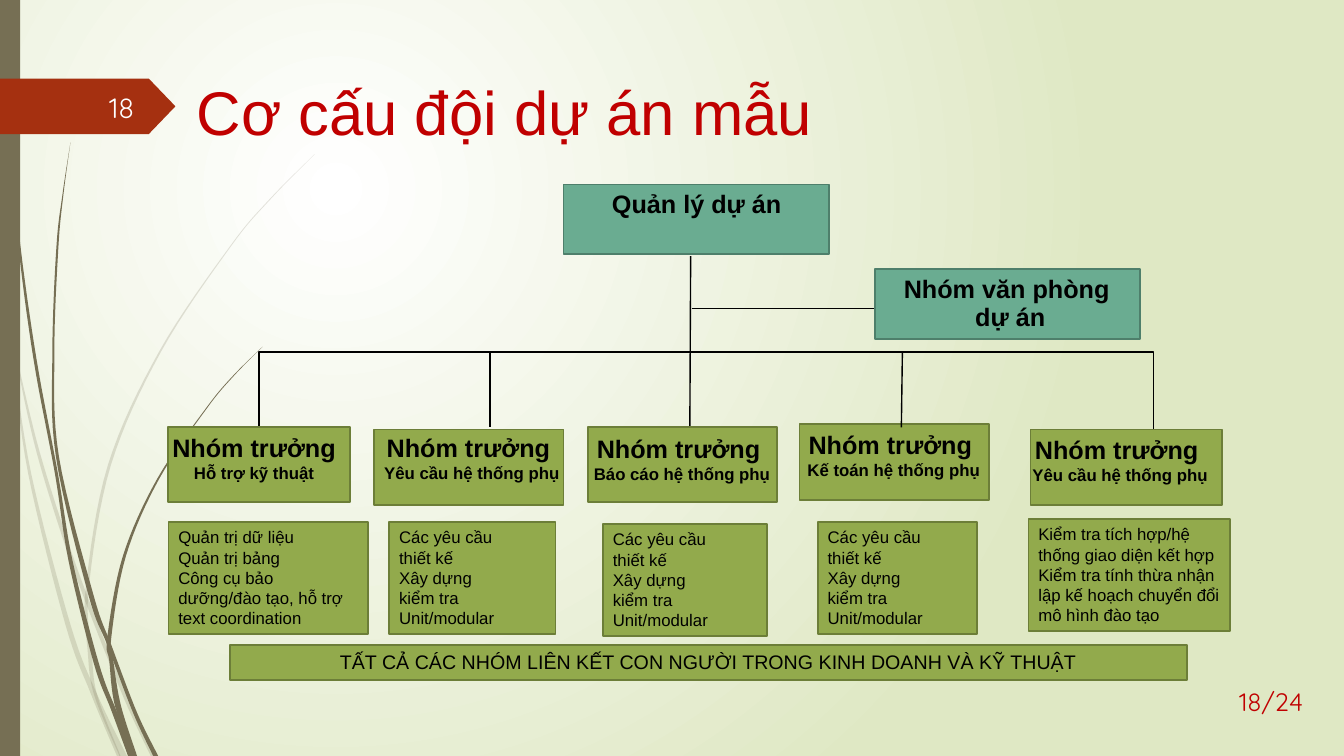
from dataclasses import dataclass
from typing import Optional

from lxml.etree import SubElement
from pptx import Presentation
from pptx.dml.color import RGBColor
from pptx.enum.shapes import MSO_CONNECTOR, MSO_SHAPE
from pptx.enum.text import MSO_ANCHOR, PP_ALIGN
from pptx.oxml.ns import qn
from pptx.util import Inches, Pt

WHITE = RGBColor(0xFF, 0xFF, 0xFF)
PALE = RGBColor(0xDF, 0xE8, 0xC4)
BROWN = RGBColor(0x76, 0x6F, 0x54)
RUST = RGBColor(0xA5, 0x30, 0x10)
RED = RGBColor(0xC0, 0x00, 0x00)
BLACK = RGBColor(0x00, 0x00, 0x00)
GREEN = RGBColor(0x92, 0xAA, 0x4C)
MOSS = RGBColor(0x6C, 0x7E, 0x38)
TEAL = RGBColor(0x6A, 0xAC, 0x91)
PINE = RGBColor(0x4E, 0x7F, 0x6B)
IVORY = RGBColor(0xFE, 0xFF, 0xFF)

# Grid of 133.3 columns by 75 rows
WIDE, HIGH = Inches(13.33), Inches(7.5)
COL, ROW = WIDE / 133.3, HIGH / 75

Box = tuple[float, float, float, float]
Dot = tuple[float, float, float]


@dataclass(frozen=True)
class Line:
    text: str
    size: float
    bold: bool = False
    color: RGBColor = BLACK
    font: str = "Arial"


@dataclass(frozen=True)
class Team:
    role: str
    head: str
    lead: Box
    label: Box
    work: Box
    tasks: tuple[str, ...]


@dataclass(frozen=True)
class Strand:
    dots: tuple[Dot, ...]  # column, row, width in columns
    alpha: int = 100


BUILD = ("Các yêu cầu", "thiết kế", "Xây dựng", "kiểm tra Unit/modular")
HEAD = "Nhóm trưởng "
TEAMS = (
    Team("Hỗ trợ kỹ thuật", HEAD.strip(), (16.7, 42.4, 18, 7.4),
         (15.7, 42.4, 19, 6), (16.7, 51.8, 19.8, 11.1),
         ("Quản trị dữ liệu", "Quản trị bảng",
          "Công cụ bảo dưỡng/đào tạo, hỗ trợ text coordination")),
    Team("Yêu cầu hệ thống phụ", HEAD, (37.1, 42.6, 18.8, 7.5),
         (36.9, 42.4, 19.8, 6), (38.6, 51.8, 16.5, 11.1), BUILD),
    Team("Báo cáo hệ thống phụ", HEAD, (58.3, 42.4, 18.8, 7.4),
         (57.6, 42.5, 20.1, 6), (59.8, 52, 16.3, 11.1), BUILD),
    Team("Kế toán hệ thống phụ", HEAD, (79.3, 42.1, 18.8, 7.5),
         (79, 42.1, 19.3, 6), (81.1, 51.8, 15.8, 11.1), BUILD),
    Team("Yêu cầu hệ thống phụ", HEAD, (102.2, 42.6, 19, 7.5),
         (101, 42.6, 20.2, 6), (102, 51.5, 20, 11.1),
         ("Kiểm tra tích hợp/hệ thống giao diện kết hợp",
          "Kiểm tra tính thừa nhận",
          "lập kế hoạch chuyển đổi mô hình đào tạo")),
)
STRANDS = (
    Strand(((0.2, 29, 0.3), (1.2, 35, 0.1), (2.95, 47, 0.3), (6.75, 62, 0.5),
            (9.3, 68.8, 0.6), (12.1, 75, 1)), 20),
    Strand(((1.4, 34.5, 0.1), (3.5, 43.8, 0.3), (6, 52.1, 0.4),
            (8.6, 59.5, 0.4), (12.5, 69.3, 0.4), (15.2, 75, 0.5)), 20),
    Strand(((31.2, 15.3, 0), (26.8, 19.75, 0.1), (22.85, 24.45, 0.1),
            (15.9, 34.85, 0.2), (10.85, 46.15, 0.3), (8.65, 58.4, 0.3),
            (8.9, 64.6, 0.4), (9.5, 69, 0.3), (11.9, 75, 0.1)), 20),
    Strand(((0.35, 0, 0.1), (0.45, 4.8, 0.1), (0.75, 11, 0.1),
            (1.8, 23.3, 0.2), (3.45, 35.5, 0.3), (5.6, 47, 0.3),
            (7, 55.65, 0.4), (9.55, 65.8, 0.5), (11.3, 70.5, 0.5),
            (13.1, 75, 0.8))),
    Strand(((7, 14.1, 0), (6.25, 19.3, 0.1), (5.7, 24.5, 0.2),
            (5.3, 34.9, 0.2), (5.7, 45.3, 0.3), (9.05, 59.1, 0.5),
            (10.85, 64, 0.4), (13.4, 70.7, 0.4), (15.45, 75, 0.5))),
    Strand(((26.05, 34.4, 0), (23.1, 37.35, 0.1), (20.45, 40.55, 0.1),
            (15.7, 47.5, 0.2), (12.35, 55.15, 0.3), (10.85, 63.2, 0.4),
            (11.05, 65.6, 0.4), (11.7, 70, 0.6), (13.4, 75, 0.4))),
)


def spot(x: float, y: float) -> tuple[int, int]:
    return round(x * COL), round(y * ROW)


def place(box: Box) -> tuple[int, int, int, int]:
    return (*spot(*box[:2]), *spot(*box[2:]))


def write(shape, lines: list[Line], align=PP_ALIGN.LEFT, anchor=MSO_ANCHOR.TOP,
          space: Optional[float] = None, wrap: bool = True) -> None:
    frame = shape.text_frame
    frame.word_wrap = wrap
    frame.vertical_anchor = anchor
    for i, line in enumerate(lines):
        para = frame.paragraphs[0] if i == 0 else frame.add_paragraph()
        para.alignment = align
        para.line_spacing = space
        run = para.add_run()
        run.text = line.text
        run.font.size = Pt(line.size)
        run.font.bold = line.bold
        run.font.name = line.font
        run.font.color.rgb = line.color


def panel(shapes, box: Box, fill: RGBColor, edge: Optional[RGBColor] = None,
          kind=MSO_SHAPE.RECTANGLE):
    shape = shapes.add_shape(kind, *place(box))
    shape.shadow.inherit = False
    shape.fill.solid()
    shape.fill.fore_color.rgb = fill
    if edge is None:
        shape.line.fill.background()
    else:
        shape.line.color.rgb = edge
        shape.line.width = Pt(1.25)
    return shape


def note(shapes, box: Box, lines: list[Line], **style) -> None:
    write(shapes.add_textbox(*place(box)), lines, **style)


def link(shapes, x1: float, y1: float, x2: float, y2: float) -> None:
    line = shapes.add_connector(MSO_CONNECTOR.STRAIGHT, *spot(x1, y1), *spot(x2, y2))
    line.line.color.rgb = BLACK
    line.line.width = Pt(1)
    SubElement(line._element.spPr, qn("a:effectLst"))


def outline(shapes, dots: list[tuple[float, float]], close: bool):
    pts = [spot(*dot) for dot in dots]
    form = shapes.build_freeform(*pts[0])
    form.add_line_segments(pts[1:], close=close)
    shape = form.convert_to_shape()
    shape.shadow.inherit = False
    return shape


def smooth(dots: tuple[Dot, ...], steps: int = 8) -> list[Dot]:
    """Sample a Catmull-Rom curve through the dots."""
    ends = (dots[0], *dots, dots[-1])
    curve = []
    for a, b, c, d in zip(ends, ends[1:], ends[2:], ends[3:]):
        for t in (k / steps for k in range(steps)):
            curve.append(tuple(
                q + t * (r - p) / 2 + t * t * (2 * p - 5 * q + 4 * r - s) / 2
                + t ** 3 * (3 * q - p - 3 * r + s) / 2
                for p, q, r, s in zip(a, b, c, d)))
    return curve + [dots[-1]]


def grass(shapes, strand: Strand) -> None:
    curve = smooth(strand.dots)
    left = [(x - w / 2, y) for x, y, w in curve]
    right = [(x + w / 2, y) for x, y, w in reversed(curve)]
    shape = outline(shapes, left + right, True)
    shape.fill.solid()
    shape.fill.fore_color.rgb = BROWN
    shape.line.fill.background()
    tint = shape._element.spPr.find(".//" + qn("a:srgbClr"))
    SubElement(tint, qn("a:alpha"), val=str(strand.alpha * 1000))


def backdrop(slide) -> None:
    fill = slide.background.fill
    fill.gradient()
    for stop, color in zip(fill.gradient_stops, (WHITE, PALE)):
        stop.color.rgb = color
    grad = slide._element.find(".//" + qn("a:gradFill"))
    grad.remove(grad.find(qn("a:lin")))
    ring = SubElement(grad, qn("a:path"), {"path": "circle"})
    SubElement(ring, qn("a:fillToRect"), l="50000", t="50000", r="100000", b="100000")


def main() -> None:
    deck = Presentation()
    deck.slide_width, deck.slide_height = WIDE, HIGH
    slide = deck.slides.add_slide(deck.slide_layouts[5])
    shapes = slide.shapes

    # Backdrop, grass and page tag
    backdrop(slide)
    for strand in STRANDS:
        grass(shapes, strand)
    panel(shapes, (0, 0, 2, 75), BROWN)
    tag = panel(shapes, (0, 7.8, 17.4, 5.5), RUST, kind=MSO_SHAPE.PENTAGON)
    tag.adjustments[0] = 0.48
    note(shapes, (5.8, 8.6, 8.5, 4), [Line("18", 20, False, IVORY, "Quicksand")],
         align=PP_ALIGN.RIGHT, anchor=MSO_ANCHOR.MIDDLE)
    note(shapes, (121.9, 67.6, 9.1, 4), [Line("18/24", 18, False, RED, "Quicksand")])

    # Title
    title = shapes.title
    title.left, title.top, title.width, title.height = place((18.5, 6.8, 107.3, 14))
    write(title, [Line("Cơ cấu đội dự án mẫu", 44, color=RED)])

    # Links
    bus = outline(shapes, [(25.7, 44.1), (25.7, 34.9), (114.4, 34.9), (114.4, 44.1)], False)
    bus.fill.background()
    bus.line.color.rgb = BLACK
    bus.line.width = Pt(1)
    link(shapes, 68.6, 30.6, 86.7, 30.6)
    link(shapes, 68.5, 25.4, 68.4, 47)

    # Manager and office
    panel(shapes, (55.9, 18.3, 26.3, 6.9), TEAL, PINE)
    panel(shapes, (86.8, 26.7, 26.3, 6.9), TEAL, PINE)
    note(shapes, (59.4, 18.5, 19.4, 3.7), [Line("Quản lý dự án", 18, True)],
         align=PP_ALIGN.CENTER, space=0.9, wrap=False)
    note(shapes, (88.2, 27, 24, 6.4),
         [Line("Nhóm văn phòng ", 18, True), Line("dự án", 18, True)],
         align=PP_ALIGN.CENTER, space=0.9, wrap=False)

    # Teams
    for team in TEAMS:
        panel(shapes, team.lead, GREEN, MOSS)
        note(shapes, team.label, [Line(team.head, 18, True), Line(team.role, 12, True)],
             align=PP_ALIGN.CENTER, wrap=False)
        write(panel(shapes, team.work, GREEN, MOSS), [Line(task, 12) for task in team.tasks])
    link(shapes, 48.6, 34.9, 48.6, 42.4)
    link(shapes, 89.5, 34.9, 89.4, 42.4)

    # Shared footer
    bar = panel(shapes, (22.8, 64, 94.9, 3.5), GREEN, MOSS)
    write(bar, [Line("TẤT CẢ CÁC NHÓM LIÊN KẾT CON NGƯỜI TRONG KINH DOANH VÀ KỸ THUẬT", 14)],
          align=PP_ALIGN.CENTER, anchor=MSO_ANCHOR.MIDDLE, space=0.9)

    deck.save("out.pptx")


if __name__ == "__main__":
    main()
